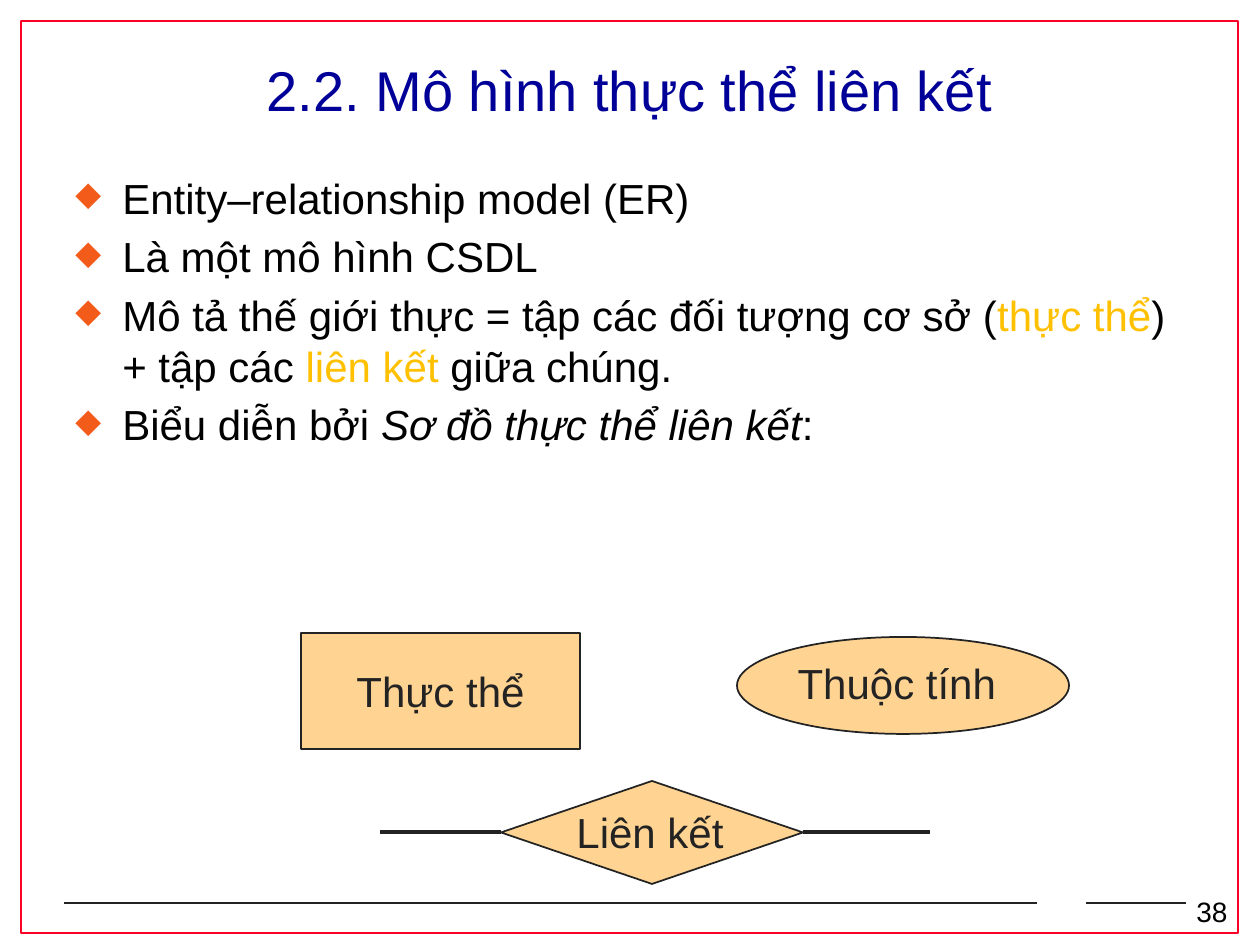
import pptx
import pptx.dml.color
import pptx.enum.shapes
import pptx.enum.text
import pptx.oxml
import pptx.oxml.ns
import pptx.util

SCALE = 914400 / 126
COLORS = {
    "ink": "232323",
    "text": "000000",
    "title": "000099",
    "frame": "FC0128",
    "symbol": "FFD493",
    "accent": "FFC000",
    "bullet": "F35B1B",
    "paper": "FFFFFF",
}
SHAPES = pptx.enum.shapes.MSO_SHAPE
ALIGN = pptx.enum.text.PP_ALIGN
ANCHOR = pptx.enum.text.MSO_ANCHOR


def emu(pixels):
    return pptx.util.Emu(round(pixels * SCALE))


def rgb(name):
    return pptx.dml.color.RGBColor.from_string(COLORS[name])


class SlideBuilder:
    font = "Arial"

    def __init__(self, slide):
        self.slide = slide

    def add_run(self, paragraph, text, size=24, color="text", italic=False):
        run = paragraph.add_run()
        run.text = text
        run.font.name = self.font
        run.font.size = pptx.util.Pt(size)
        run.font.italic = italic
        run.font.color.rgb = rgb(color)

    def textbox(self, left, top, width, height, wrap=True, anchor=ANCHOR.TOP):
        box = self.slide.shapes.add_textbox(*map(emu, (left, top, width, height)))
        frame = box.text_frame
        frame.word_wrap = wrap
        frame.vertical_anchor = anchor
        return frame

    def label(self, bounds, text, size, color, align=ALIGN.LEFT, **options):
        paragraph = self.textbox(*bounds, **options).paragraphs[0]
        paragraph.alignment = align
        self.add_run(paragraph, text, size, color)

    def bullets(self, bounds, items):
        frame = self.textbox(*bounds)
        for index, runs in enumerate(items):
            paragraph = frame.add_paragraph() if index else frame.paragraphs[0]
            paragraph.space_before = pptx.util.Pt(4.8)
            properties = paragraph._p.get_or_add_pPr()
            properties.set("marL", str(emu(47)))
            properties.set("indent", str(emu(-47)))
            namespace = pptx.oxml.ns.nsdecls("a")
            for xml in (
                f'<a:buClr {namespace}><a:srgbClr val="{COLORS["bullet"]}"/></a:buClr>',
                f'<a:buSzPct {namespace} val="80000"/>',
                f'<a:buChar {namespace} char="◆"/>',
            ):
                properties.append(pptx.oxml.parse_xml(xml))
            for text, style in runs:
                self.add_run(paragraph, text, **style)

    def shape(self, kind, bounds, fill=None, line="ink", weight=1):
        shape = self.slide.shapes.add_shape(kind, *map(emu, bounds))
        shape.shadow.inherit = False
        if fill:
            shape.fill.solid()
            shape.fill.fore_color.rgb = rgb(fill)
        else:
            shape.fill.background()
        shape.line.color.rgb = rgb(line)
        shape.line.width = pptx.util.Pt(weight)
        return shape

    def symbol(self, kind, bounds, text, inset=0, align=ALIGN.LEFT, anchor=ANCHOR.TOP):
        frame = self.shape(kind, bounds, "symbol").text_frame
        frame.margin_left = frame.margin_right = emu(2 * inset)
        frame.margin_top = frame.margin_bottom = emu(inset)
        frame.vertical_anchor = anchor
        frame.word_wrap = True
        paragraph = frame.paragraphs[0]
        paragraph.alignment = align
        self.add_run(paragraph, text, color="ink")

    def line(self, start, end, y, weight=1):
        connector = self.slide.shapes.add_connector(
            pptx.enum.shapes.MSO_CONNECTOR.STRAIGHT, emu(start), emu(y), emu(end), emu(y)
        )
        connector.line.color.rgb = rgb("ink")
        connector.line.width = pptx.util.Pt(weight)
        properties = connector._element.spPr
        properties.append(pptx.oxml.parse_xml(f'<a:effectLst {pptx.oxml.ns.nsdecls("a")}/>'))


def main():
    presentation = pptx.Presentation()
    presentation.slide_width = emu(1260)
    presentation.slide_height = emu(945)
    builder = SlideBuilder(presentation.slides.add_slide(presentation.slide_layouts[6]))

    builder.line(64, 242, 903)
    builder.shape(SHAPES.RECTANGLE, (21, 21, 1217, 912), line="frame")
    builder.label((1184, 888, 58, 45), "38", 16, "text", wrap=False)
    builder.shape(SHAPES.RECTANGLE, (1033, 883, 55, 42), "paper", "paper", 2.25)
    for start, end in ((233, 1037), (1086, 1186)):
        builder.line(start, end, 903)

    builder.label(
        (-29, 45, 1318, 89), "2.2. Mô hình thực thể liên kết", 32, "title",
        align=ALIGN.CENTER, anchor=ANCHOR.MIDDLE,
    )
    accent = {"color": "accent"}
    builder.bullets(
        (63, 166, 1134, 234),
        [
            [("Entity–relationship model (ER)", {})],
            [("Là một mô hình CSDL", {})],
            [
                ("Mô tả thế giới thực = tập các đối tượng cơ sở (", {}),
                ("thực thể", accent),
                (") + tập các ", {}),
                ("liên kết ", accent),
                ("giữa chúng.", {}),
            ],
            [
                ("Biểu diễn bởi ", {}),
                ("Sơ đồ thực thể liên kết", {"italic": True}),
                (":", {}),
            ],
        ],
    )

    builder.symbol(
        SHAPES.RECTANGLE, (301, 633, 279, 116), "Thực thể",
        align=ALIGN.CENTER, anchor=ANCHOR.MIDDLE,
    )
    builder.symbol(SHAPES.OVAL, (737, 637, 332, 97), "Thuộc tính", inset=6)
    builder.symbol(SHAPES.DIAMOND, (501, 781, 302, 103), "Liên kết")
    for start, end in ((803, 930), (501, 380)):
        builder.line(start, end, 832, 2.25)

    presentation.save("out.pptx")


if __name__ == "__main__":
    main()
